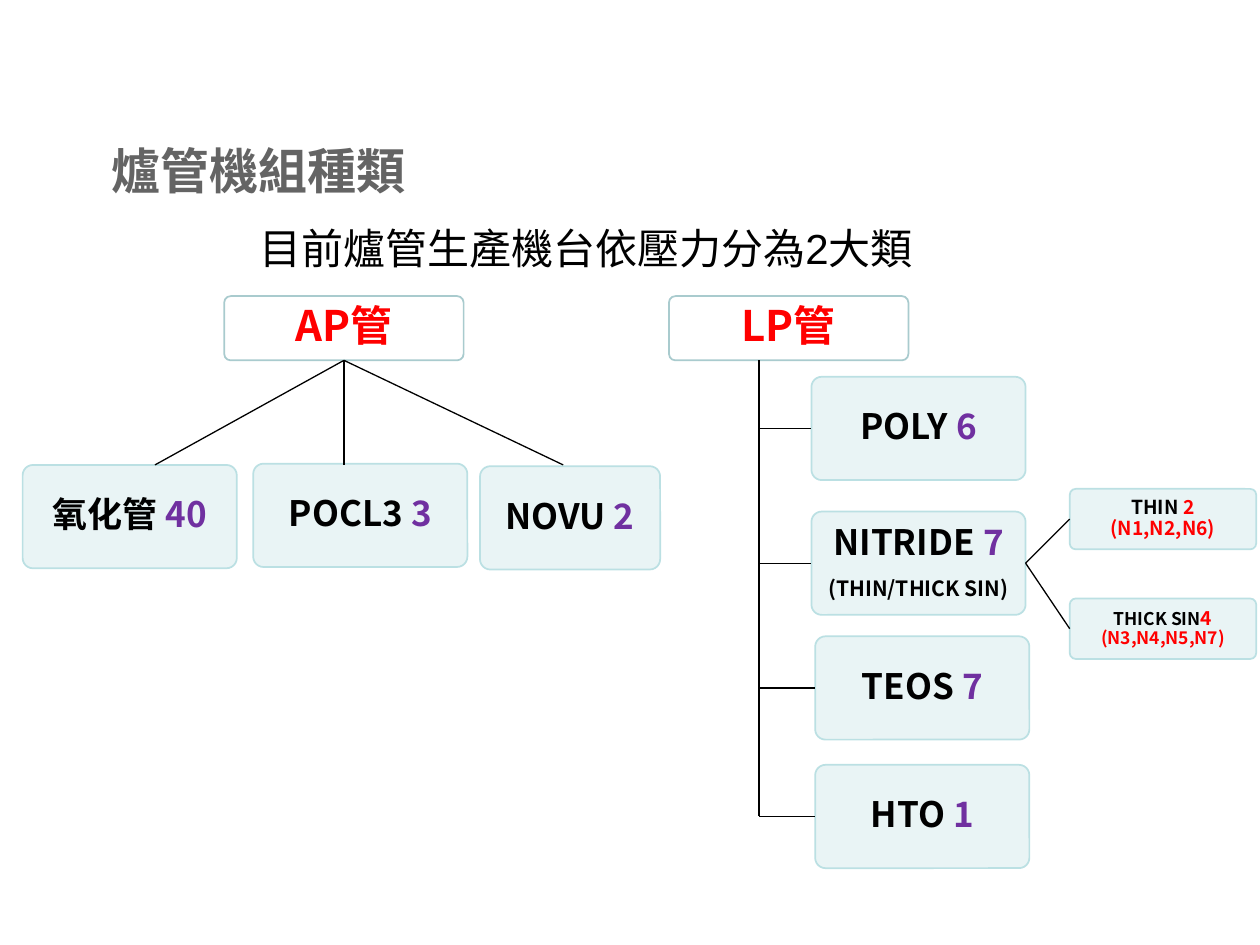
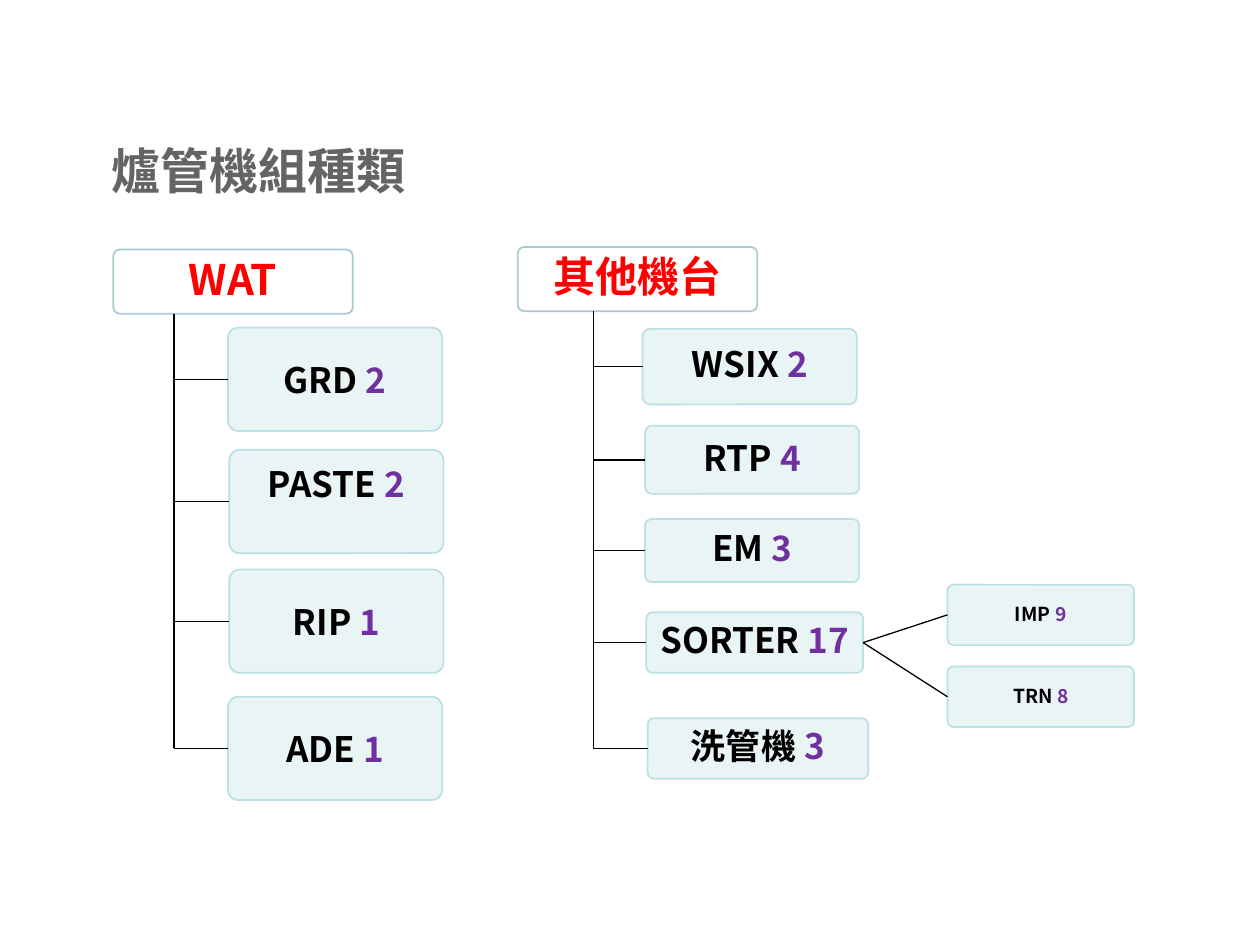
"""Build two slides that chart the kinds of furnace equipment as trees."""
from dataclasses import dataclass
from typing import NamedTuple, Sequence

from lxml import etree
from pptx import Presentation
from pptx import util as u
from pptx.dml.color import RGBColor
from pptx.enum import shapes, text
from pptx.oxml.ns import qn

COLUMNS, ROWS = 100, 75
CELL = u.Inches(0.1)

BLACK, GREY, RED, PURPLE, WHITE = "000000", "646464", "FF0000", "7030A0", "FFFFFF"
MINT, MINT_EDGE, TEAL_EDGE = "E7F3F4", "BBE0E3", "A9CBCE"
TITLE_FONT, NODE_FONT, INTRO_FONT = "Noto Sans CJK SC", "Noto Sans CJK TC", "Arial"


class Span(NamedTuple):
    """A stretch of text with its colour and size."""
    words: str
    color: str = BLACK
    size: float = 20


class Point(NamedTuple):
    """A place on the grid."""
    column: float
    row: float


@dataclass(frozen=True)
class Node:
    """A rounded box of a tree; its lengths are grid cells."""
    left: float
    top: float
    lines: Sequence[Sequence[Span]]
    width: float = 17
    height: float = 8.2
    fill: str = MINT
    edge: str = MINT_EDGE
    opacity: int = 90
    side_pad: float = 0.5
    lift: float = 0
    spacing: float = 0.9

    @property
    def middle(self) -> float:
        return self.top + self.height / 2

    @property
    def left_mid(self) -> Point:
        return Point(self.left, self.middle)

    @property
    def right_mid(self) -> Point:
        return Point(self.left + self.width, self.middle)

    @property
    def bottom(self) -> float:
        return self.top + self.height


def cells(count: float) -> int:
    return round(count * CELL)


def rgb(value: str) -> RGBColor:
    return RGBColor.from_string(value)


def counted(name: str, count: str, size: float = 20, color: str = PURPLE) -> tuple:
    return Span(f"{name} ", BLACK, size), Span(count, color, size)


def root(left: float, top: float, name: str) -> Node:
    return Node(left, top, [[Span(name, RED, 24)]], 19, 5.1, WHITE, TEAL_EDGE, 100)


def leaf(left: float, top: float, spans: Sequence[Span], side_pad: float = 2.8) -> Node:
    return Node(left, top, [spans], 14.8, 4.8, side_pad=side_pad)


def add_span(paragraph, span: Span, font_name: str, bold: bool = True) -> None:
    run = paragraph.add_run()
    run.text = span.words
    run.font.size = u.Pt(span.size)
    run.font.bold = bold
    run.font.color.rgb = rgb(span.color)
    run.font.name = font_name
    east_asian = NODE_FONT if font_name == INTRO_FONT else font_name
    etree.SubElement(run._r.get_or_add_rPr(), qn("a:ea"), typeface=east_asian)


def add_node(slide, node: Node) -> None:
    box = slide.shapes.add_shape(
        shapes.MSO_SHAPE.ROUNDED_RECTANGLE,
        *map(cells, (node.left, node.top, node.width, node.height)))
    box.adjustments[0] = 0.1
    box.shadow.inherit = False
    box.fill.solid()
    box.fill.fore_color.rgb = rgb(node.fill)
    if node.opacity < 100:
        tint = box.fill._xPr.find(f".//{qn('a:srgbClr')}")
        etree.SubElement(tint, qn("a:alpha"), val=str(node.opacity * 1000))
    box.line.color.rgb = rgb(node.edge)
    box.line.width = u.Pt(1)
    frame = box.text_frame
    frame.word_wrap = True
    frame.vertical_anchor = text.MSO_ANCHOR.MIDDLE
    frame.margin_left = frame.margin_right = cells(node.side_pad)
    frame.margin_top = cells(0.4)
    frame.margin_bottom = cells(0.4 + 2 * node.lift)
    for index, spans in enumerate(node.lines):
        paragraph = frame.add_paragraph() if index else frame.paragraphs[0]
        paragraph.alignment = text.PP_ALIGN.CENTER
        paragraph.line_spacing = node.spacing
        paragraph.space_after = u.Pt(0.44 * spans[0].size)
        for span in spans:
            add_span(paragraph, span, NODE_FONT)


def add_line(slide, start: Point, end: Point) -> None:
    line = slide.shapes.add_connector(
        shapes.MSO_CONNECTOR.STRAIGHT, *map(cells, (*start, *end)))
    line.line.color.rgb = rgb(BLACK)
    line.line.width = u.Pt(0.75)
    etree.SubElement(line._element.spPr, qn("a:effectLst"))


def add_fan(slide, start: Point, ends: Sequence[Point]) -> None:
    for end in ends:
        add_line(slide, start, end)


def add_ladder(slide, parent: Node, trunk: float, children: Sequence[Node]) -> None:
    for node in (parent, *children):
        add_node(slide, node)
    add_line(slide, Point(trunk, parent.bottom), Point(trunk, children[-1].middle))
    for child in children:
        add_line(slide, Point(trunk, child.middle), child.left_mid)


def add_split(slide, parent: Node, leaves: Sequence[Node]) -> None:
    for node in leaves:
        add_node(slide, node)
    add_fan(slide, parent.right_mid, [node.left_mid for node in leaves])


def add_caption(slide, place: tuple, span: Span, font_name: str, bold: bool,
                anchor: text.MSO_ANCHOR) -> None:
    frame = slide.shapes.add_textbox(*map(cells, place)).text_frame
    frame.word_wrap = True
    frame.vertical_anchor = anchor
    add_span(frame.paragraphs[0], span, font_name, bold)


def start_slide(deck):
    slide = deck.slides.add_slide(deck.slide_layouts[6])
    add_caption(slide, (7.9, 9.9, 85.4, 7.1), Span("爐管機組種類", GREY, 28),
                TITLE_FONT, True, text.MSO_ANCHOR.MIDDLE)
    return slide


def build_pressure_slide(deck) -> None:
    slide = start_slide(deck)
    add_caption(slide, (19.6, 17.2, 58, 5), Span("目前爐管生產機台依壓力分為2大類", BLACK, 24),
                INTRO_FONT, False, text.MSO_ANCHOR.TOP)
    ap = root(17.8, 23.5, "AP管")
    ap_kinds = [
        Node(1.8, 36.9, [counted("氧化管", "40")]),
        Node(20.1, 36.8, [counted("POCL3", "3")]),
        Node(38.1, 37, [counted("NOVU", "2")], width=14.3),
    ]
    for node in (ap, *ap_kinds):
        add_node(slide, node)
    add_fan(slide, Point(ap.left + ap.width / 2, ap.bottom),
            [Point(column, 36.9) for column in (12.3, 27.3, 44.7)])

    nitride = Node(64.4, 40.6, [counted("NITRIDE", "7"), [Span("(THIN/THICK SIN)", size=12)]])
    add_ladder(slide, root(53.1, 23.5, "LP管"), 60.25, [
        Node(64.4, 29.9, [counted("POLY", "6")]),
        nitride,
        Node(64.7, 50.5, [counted("TEOS", "7")]),
        Node(64.7, 60.7, [counted("HTO", "1")]),
    ])
    thick = [Span("THICK SIN", size=10), Span("4", RED, 11),
             Span(" ", size=10), Span("(N3,N4,N5,N7)", RED, 10)]
    add_split(slide, nitride, [
        leaf(84.9, 38.8, counted("THIN", "2 (N1,N2,N6)", 11, RED)),
        leaf(84.9, 47.5, thick, side_pad=1.8),
    ])


def build_other_slide(deck) -> None:
    slide = start_slide(deck)
    add_ladder(slide, root(9, 19.8, "WAT"), 13.8, [
        Node(18.1, 26, [counted("GRD", "2")], spacing=1),
        Node(18.2, 35.7, [counted("PASTE", "2")], spacing=1, lift=1.4),
        Node(18.2, 45.2, [counted("RIP", "1")], spacing=1),
        Node(18.1, 55.3, [counted("ADE", "1")], spacing=1),
    ])
    sorter = Node(51.3, 48.6, [counted("SORTER", "17")], 17.2, 4.8)
    add_ladder(slide, root(41.1, 19.6, "其他機台"), 47.1, [
        Node(51, 26.1, [counted("WSIX", "2")], height=6),
        Node(51.2, 33.8, [counted("RTP", "4")], height=5.4),
        Node(51.2, 41.2, [counted("EM", "3")], height=5),
        sorter,
        Node(51.4, 57, [counted("洗管機", "3")], 17.5, 4.8),
    ])
    add_split(slide, sorter, [
        leaf(75.2, 46.4, counted("IMP", "9", 11)),
        leaf(75.2, 52.9, counted("TRN", "8", 11)),
    ])


def main() -> None:
    deck = Presentation()
    deck.slide_width, deck.slide_height = cells(COLUMNS), cells(ROWS)
    build_pressure_slide(deck)
    build_other_slide(deck)
    deck.save("out.pptx")


if __name__ == "__main__":
    main()
